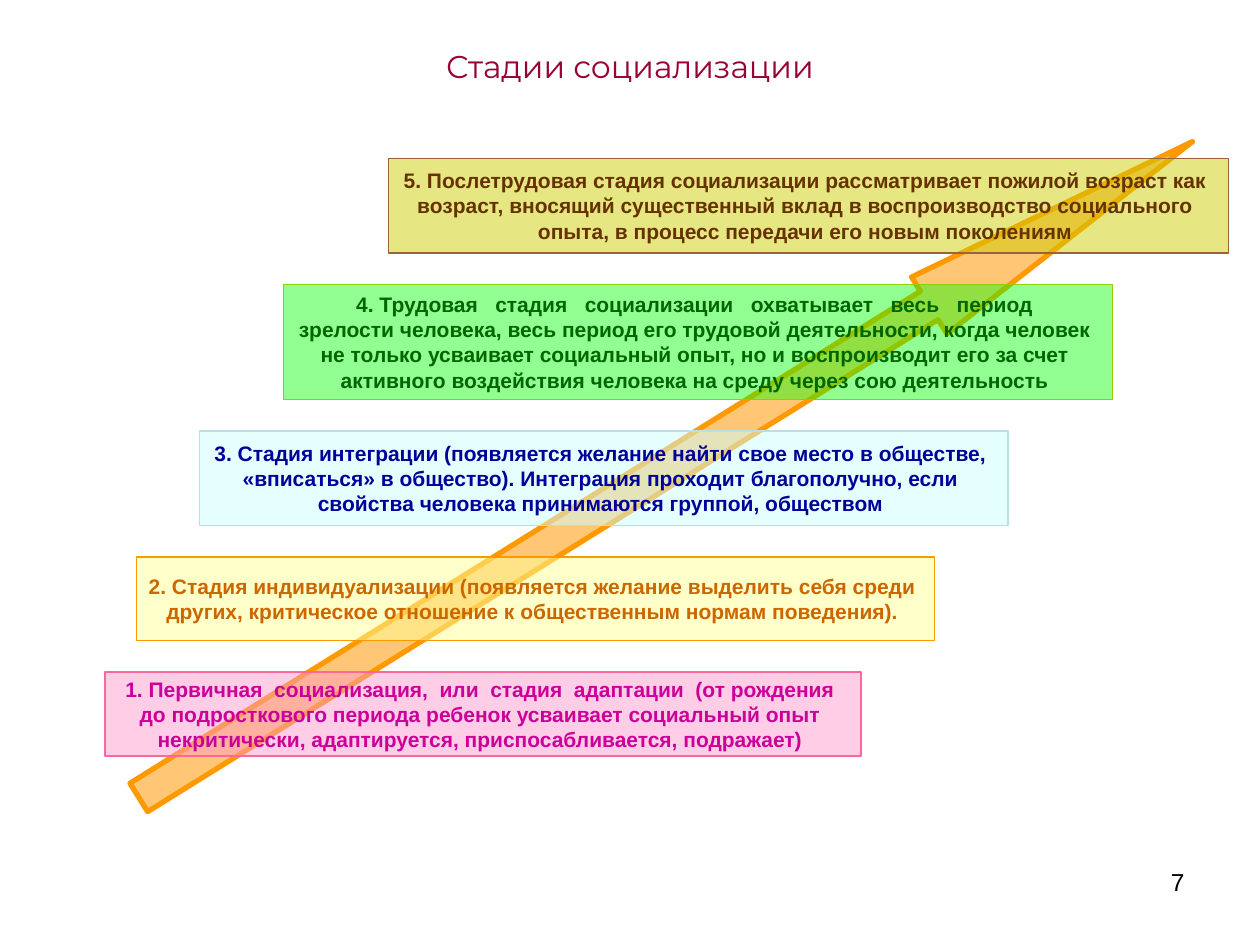
from dataclasses import dataclass

from lxml.etree import SubElement
from pptx import Presentation
from pptx.dml.color import RGBColor
from pptx.enum.shapes import MSO_SHAPE as Shape
from pptx.enum.text import MSO_ANCHOR as Anchor, MSO_AUTO_SIZE as AutoSize, PP_ALIGN as Align
from pptx.oxml.ns import qn
from pptx.util import Cm, Pt

COLORS = {
    "title": "990033", "number": "000000", "arrow": "FF9900",
    "pink": "FF99CC", "pink line": "FF6699", "pink text": "CC0099",
    "yellow": "FFFF99", "yellow line": "FF9900", "yellow text": "CC6600",
    "blue": "CCFFFF", "blue line": "BBE0E3", "blue text": "000099",
    "green": "00FF00", "green line": "99CC00", "green text": "006600",
    "olive": "CCCC00", "olive line": "996633", "olive text": "663300",
}
STAIRS_BOTTOM = 15.24
STAIRS_GAP = 0.63


@dataclass
class Stage:
    """One step of the staircase; lengths in centimetres, opacity in percent."""
    left: float
    width: float
    height: float
    color: str
    opacity: int
    lines: list[str]


# Stages from the lowest step to the highest
STAGES = [
    Stage(2.12, 15.24, 1.69, "pink", 49, [
        "1. Первичная  социализация,  или  стадия  адаптации  (от рождения",
        "до подросткового периода ребенок усваивает социальный опыт",
        "некритически, адаптируется, приспосабливается, подражает)"]),
    Stage(2.75, 16.09, 1.69, "yellow", 52, [
        "2. Стадия индивидуализации (появляется желание выделить себя среди",
        "других, критическое отношение к общественным нормам поведения)."]),
    Stage(4.02, 16.3, 1.91, "blue", 50, [
        "3. Стадия интеграции (появляется желание найти свое место в обществе,",
        "«вписаться» в общество). Интеграция проходит благополучно, если",
        "свойства человека принимаются группой, обществом"]),
    Stage(5.71, 16.72, 2.33, "green", 43, [
        "4. Трудовая   стадия   социализации   охватывает   весь   период",
        "зрелости человека, весь период его трудовой деятельности, когда человек",
        "не только усваивает социальный опыт, но и воспроизводит его за счет",
        "активного воздействия человека на среду через сою деятельность"]),
    Stage(7.83, 16.93, 1.91, "olive", 49, [
        "5. Послетрудовая стадия социализации рассматривает пожилой возраст как",
        "возраст, вносящий существенный вклад в воспроизводство социального",
        "опыта, в процесс передачи его новым поколениям"]),
]


def rgb(name: str) -> RGBColor:
    return RGBColor.from_string(COLORS[name])


def paint(shape, fill: str, opacity: int, line: str, line_width: float) -> None:
    shape.shadow.inherit = False
    shape.fill.solid()
    shape.fill.fore_color.rgb = rgb(fill)
    color = shape.fill._xPr.find(qn("a:solidFill"))[0]
    SubElement(color, qn("a:alpha"), val=str(opacity * 1000))
    shape.line.color.rgb = rgb(line)
    shape.line.width = Pt(line_width)


def write(shape, text: str, font: str, size: float, color: str,
          align: Align, bold: bool = False) -> None:
    shape.text_frame.text = text
    for paragraph in shape.text_frame.paragraphs:
        paragraph.alignment = align
        for run in paragraph.runs:
            run.font.name = font
            run.font.size = Pt(size)
            run.font.bold = bold
            run.font.color.rgb = rgb(color)


def draw_stage(slide, stage: Stage, top: float) -> None:
    shape = slide.shapes.add_shape(
        Shape.RECTANGLE, Cm(stage.left), Cm(top), Cm(stage.width), Cm(stage.height))
    paint(shape, stage.color, stage.opacity, f"{stage.color} line", 0.75)
    write(shape, "\n".join(stage.lines), "Arial", 12, f"{stage.color} text",
          Align.CENTER, bold=True)
    frame = shape.text_frame
    frame.word_wrap = False
    frame.vertical_anchor = Anchor.MIDDLE
    frame.margin_right = Cm(0.37)


def main() -> None:
    presentation = Presentation()
    presentation.slide_width, presentation.slide_height = Cm(25.4), Cm(19.05)
    slide = presentation.slides.add_slide(presentation.slide_layouts[5])

    # Title
    title = slide.shapes.title
    title.left, title.top, title.width, title.height = Cm(1.27), Cm(0.76), Cm(22.86), Cm(1.14)
    write(title, "Стадии социализации", "Montserrat", 18, "title", Align.CENTER)
    title.text_frame.vertical_anchor = Anchor.MIDDLE
    title.text_frame.auto_size = AutoSize.NONE

    # Slide number
    number = slide.shapes.add_textbox(Cm(18.21), Cm(17.35), Cm(5.92), Cm(1.32))
    number.text_frame.word_wrap = True
    write(number, "7", "Arial", 14, "number", Align.RIGHT)

    # Rising arrow behind the stages
    arrow = slide.shapes.add_shape(
        Shape.RIGHT_ARROW, Cm(0.91), Cm(8.79), Cm(25.02), Cm(1.35))
    arrow.adjustments[0] = 0.5
    arrow.adjustments[1] = 4.63
    arrow.rotation = 328.1
    paint(arrow, "arrow", 54, "arrow", 3)

    # Staircase of stages, built upwards
    bottom = STAIRS_BOTTOM
    for stage in STAGES:
        top = bottom - stage.height
        draw_stage(slide, stage, top)
        bottom = top - STAIRS_GAP

    presentation.save("out.pptx")


if __name__ == "__main__":
    main()
